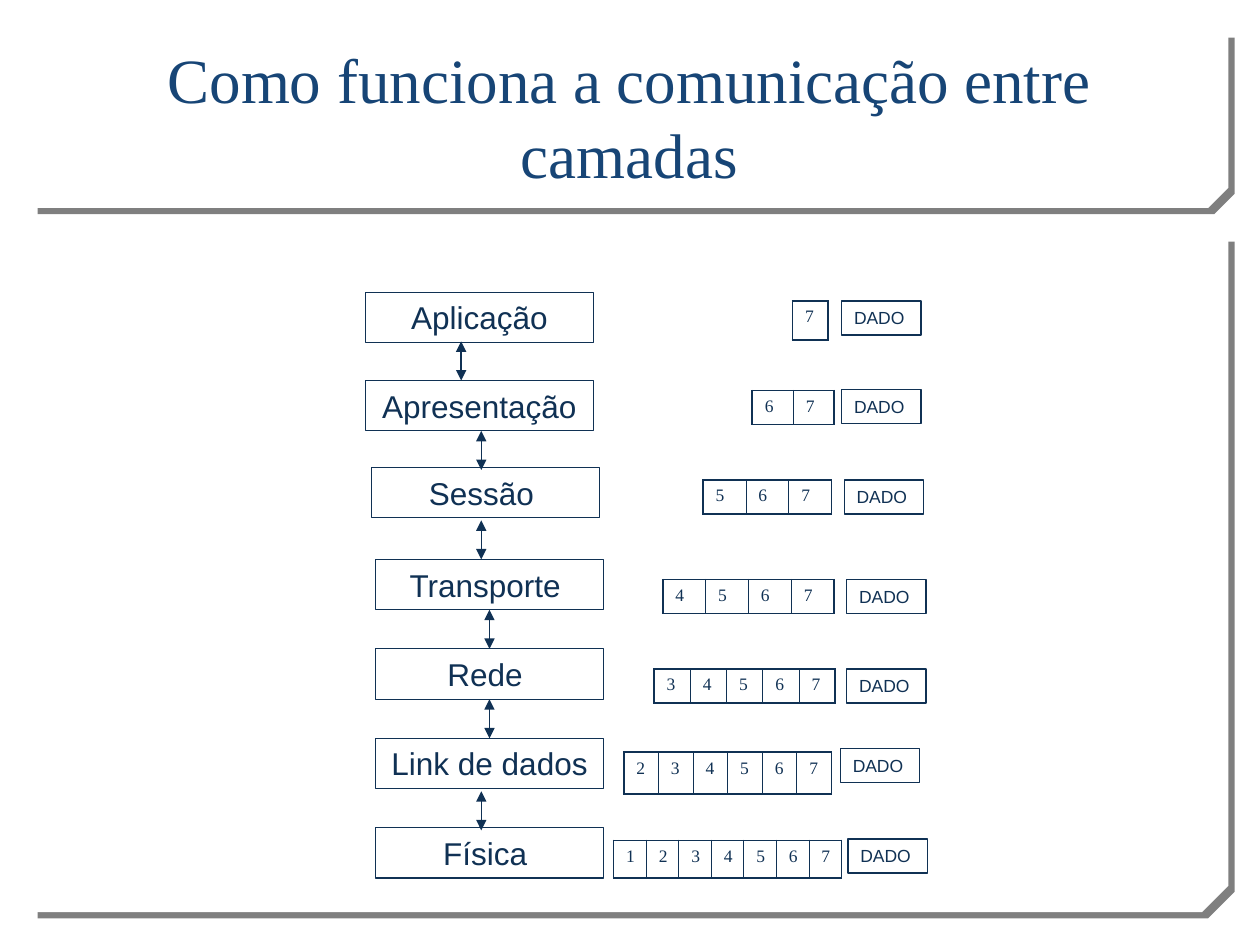
from lxml import etree
from pptx import Presentation
from pptx import util as u
from pptx.dml.color import RGBColor
from pptx.enum import shapes, text
from pptx.oxml.ns import qn

PX = 9144  # EMU per px, 100 px to the inch
NAVY = RGBColor(0x10, 0x31, 0x54)
BLUE = RGBColor(0x17, 0x45, 0x76)
WHITE = RGBColor(0xFF, 0xFF, 0xFF)
OUTER, INNER = 1.08, 0.45  # table border widths in pt

TITLE = dict(name="Times New Roman", size=u.Pt(36), color=BLUE)
LAYER = dict(name="Arial", size=u.Pt(18), color=NAVY)
DATA = dict(name="Arial", size=u.Pt(10), color=NAVY)
DIGIT = dict(name="Times New Roman", size=u.Pt(10), color=NAVY)

# Name, box (x, y), header table (x, y, w, h), data box (x, y)
LAYERS = [
    ("Aplicação", (290, 232), (629, 239, 28, 31), (668, 239)),
    ("Apresentação", (290, 302), (597, 310, 65, 27), (668, 309)),
    ("Sessão ", (295, 371), (558, 381, 102, 27), (670, 381)),
    ("Transporte ", (298, 444), (526, 460, 136, 27), (672, 460)),
    ("Rede ", (298, 515), (519, 531, 144, 27), (672, 531)),
    ("Link de dados", (298, 586), (495, 597, 165, 33), (667, 594)),
    ("Física ", (298, 657), (487, 667, 181, 30), (673, 666)),
]
# Top of the arrow below each layer; None joins the two boxes
ARROWS = [(366, 271), (382, 342), (382, 413), None, None, (382, 628)]
ARROW_LENGTH = 31


def add_xml(parent, tag, **attributes):
    return etree.SubElement(parent, qn(tag), {k: str(v) for k, v in attributes.items()})


class Deck:
    def __init__(self, prs):
        self.s = prs.slides.add_slide(prs.slide_layouts[5])

    def put_text(self, tf, words, style, align=text.PP_ALIGN.LEFT, before=0):
        p = tf.paragraphs[0]
        p.alignment, p.space_before = align, u.Pt(before)
        r = p.add_run()
        r.text = words
        for key, value in style.items():
            if key == "color":
                r.font.color.rgb = value
            else:
                setattr(r.font, key, value)

    def title(self, words, *box):
        sp = self.s.shapes.title
        sp.left, sp.top, sp.width, sp.height = (v * PX for v in box)
        tf = sp.text_frame
        tf.vertical_anchor = text.MSO_ANCHOR.BOTTOM
        tf.auto_size = text.MSO_AUTO_SIZE.NONE
        self.put_text(tf, words, TITLE, text.PP_ALIGN.CENTER)

    def panel(self, x, y, w, h, cut):
        """White panel with two cut corners and a hard shadow, behind the title."""
        right, bottom = x + w, y + h
        fb = self.s.shapes.build_freeform(x, bottom, scale=PX)
        fb.add_line_segments([(right - cut, bottom), (right, bottom - cut), (right, y),
                              (x + cut, y), (x, y + cut)], close=True)
        sp = fb.convert_to_shape()
        sp.fill.solid()
        sp.fill.fore_color.rgb = WHITE
        sp.line.fill.background()
        sp.shadow.inherit = False
        effects = sp.element.spPr.find(qn("a:effectLst"))
        shadow = add_xml(effects, "a:outerShdw", blurRad=0, dist=u.Pt(5),
                         dir=45 * 60000, algn="ctr", rotWithShape=0)
        color = add_xml(shadow, "a:srgbClr", val="000000")
        add_xml(color, "a:alpha", val=50000)
        self.s.shapes.title.element.addprevious(sp.element)

    def box(self, words, x, y, w, h, style, align, before):
        sp = self.s.shapes.add_shape(shapes.MSO_SHAPE.RECTANGLE,
                                     *(v * PX for v in (x, y, w, h)))
        sp.shadow.inherit = False
        sp.fill.background()
        sp.line.color.rgb = NAVY
        sp.line.width = u.Pt(0.75)
        tf = sp.text_frame
        for key, value in dict(word_wrap=True, vertical_anchor=text.MSO_ANCHOR.TOP,
                               auto_size=text.MSO_AUTO_SIZE.SHAPE_TO_FIT_TEXT).items():
            setattr(tf, key, value)
        self.put_text(tf, words, style, align, before)
        return sp

    def headers(self, digits, x, y, w, h):
        """One-row table with a thick frame and thin inner borders."""
        count = len(digits)
        table = self.s.shapes.add_table(1, count, *(v * PX for v in (x, y, w, h))).table
        table.first_row = table.horz_banding = False
        for i, digit in enumerate(digits):
            table.columns[i].width = u.Emu(w * PX // count)
            cell = table.cell(0, i)
            self.borders(cell, L=OUTER if i == 0 else INNER,
                         R=OUTER if i == count - 1 else INNER, T=OUTER, B=OUTER)
            cell.fill.background()
            self.put_text(cell.text_frame, str(digit), DIGIT, before=2.5)

    def borders(self, cell, **widths):
        tc_pr = cell._tc.get_or_add_tcPr()
        for side, width in widths.items():
            ln = add_xml(tc_pr, "a:ln" + side, w=u.Pt(width))
            add_xml(add_xml(ln, "a:solidFill"), "a:srgbClr", val=NAVY)

    def arrow(self, upper, lower, start):
        x, y = start or (0, 0)
        line = self.s.shapes.add_connector(shapes.MSO_CONNECTOR.STRAIGHT, x * PX, y * PX,
                                           x * PX, (y + ARROW_LENGTH) * PX)
        if start is None:
            line.begin_connect(upper, 2)
            line.end_connect(lower, 0)
        line.line.color.rgb = NAVY
        line.line.width = u.Pt(0.75)
        sp_pr = line.element.spPr
        for end in ("a:headEnd", "a:tailEnd"):
            add_xml(sp_pr.find(qn("a:ln")), end, type="triangle")
        add_xml(sp_pr, "a:effectLst")


def main():
    prs = Presentation()
    prs.slide_width, prs.slide_height = 1000 * PX, 750 * PX
    deck = Deck(prs)

    # Background panels and title
    deck.panel(25, 187, 950, 537, 21)
    deck.panel(25, 25, 950, 140, 16)
    deck.title("Como funciona a comunicação entre camadas", 85, 32, 829, 125)

    # Layers, each adding its own header to the data
    boxes = []
    for number, (name, place, table, data) in zip(range(7, 0, -1), LAYERS):
        boxes.append(deck.box(name, *place, 181, 40, LAYER, text.PP_ALIGN.CENTER, 11.2))
        deck.headers(range(number, 8), *table)
        deck.box("DADO", *data, 63, 27, DATA, text.PP_ALIGN.LEFT, 6.2)

    # Arrows between neighbouring layers
    for upper, lower, start in zip(boxes, boxes[1:], ARROWS):
        deck.arrow(upper, lower, start)

    prs.save("out.pptx")


if __name__ == "__main__":
    main()
